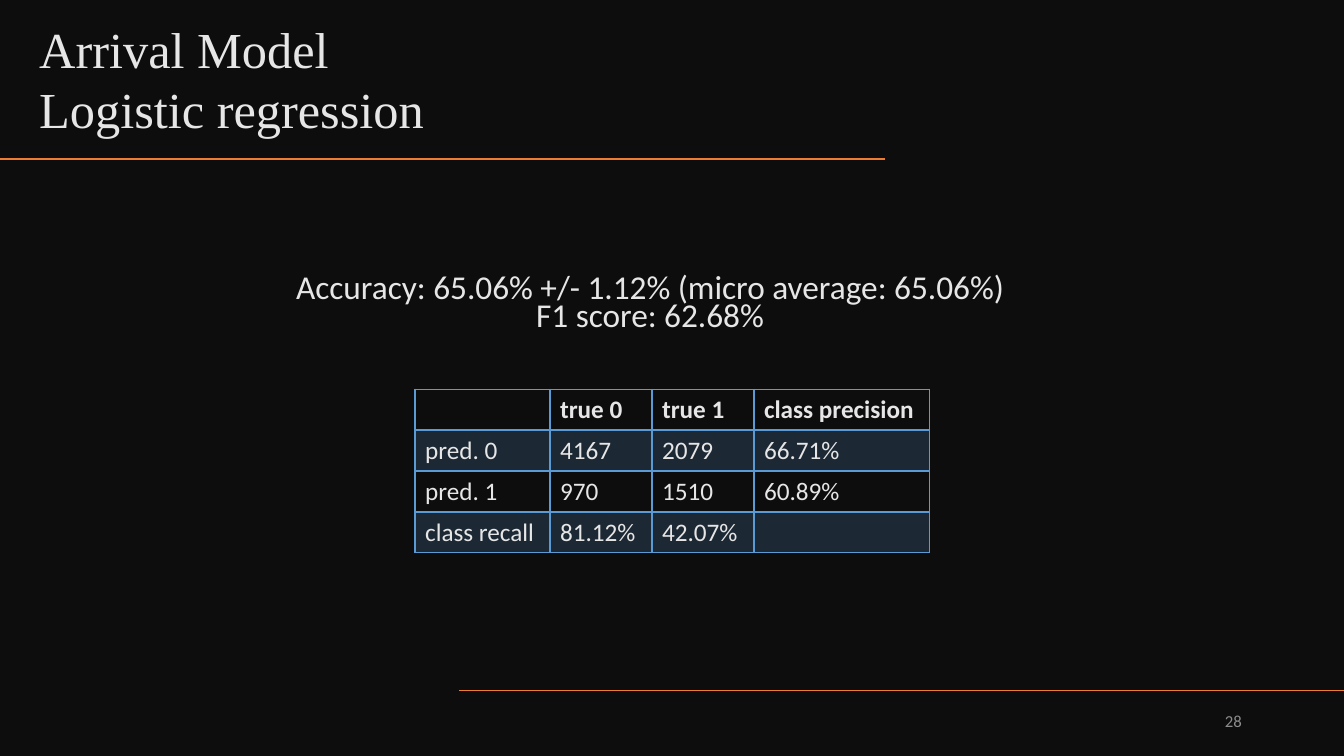
import pptx
import pptx.util
import pptx.dml.color
import pptx.enum.shapes
import pptx.enum.text
import pptx.oxml
import pptx.oxml.ns
from dataclasses import dataclass
from pptx.util import Cm

RGBColor = pptx.dml.color.RGBColor
Align = pptx.enum.text.PP_ALIGN
Anchor = pptx.enum.text.MSO_ANCHOR

BLACK = RGBColor(0x0D, 0x0D, 0x0D)
ORANGE = RGBColor(0xED, 0x7D, 0x31)
PALE = RGBColor(0xE7, 0xE6, 0xE6)
BLUE = RGBColor(0x5B, 0x9B, 0xD5)
GREY = RGBColor(0x8C, 0x8C, 0x8C)
WIDE, HIGH = 33.87, 19.05


@dataclass
class Rule:
    start: float
    end: float
    top: float


@dataclass
class Label:
    lines: list[str]
    left: float
    top: float
    width: float
    height: float
    size: float
    face: str = "Calibri"
    color: RGBColor = PALE
    align: Align = Align.LEFT
    anchor: Anchor = Anchor.TOP
    spacing: float = 1.0
    before: float = 0


RULES = [Rule(22.3, 0, 4.01), Rule(WIDE, 11.56, 17.4)]
LABELS = [
    Label(["Arrival Model", "Logistic regression"], 0.74, 0.33, 16.97, 3.33,
          36, face="Times New Roman"),
    Label(["Accuracy: 65.06% +/- 1.12% (micro average: 65.06%)\vF1 score: 62.68%"],
          5.23, 6.86, 22.3, 1.8, 23.8, align=Align.CENTER, spacing=0.7, before=10),
    Label(["28"], 23.93, 17.65, 7.62, 1.02, 12, color=GREY,
          align=Align.RIGHT, anchor=Anchor.MIDDLE),
]
ROWS = [
    ["", "true 0", "true 1", "class precision"],
    ["pred. 0", "4167", "2079", "66.71%"],
    ["pred. 1", "970", "1510", "60.89%"],
    ["class recall", "81.12%", "42.07%", ""],
]
COLS = [3.4, 2.57, 2.57, 4.42]
ROW_HIGH = 1.03


def draw_rule(slide, rule: Rule) -> None:
    line = slide.shapes.add_connector(
        pptx.enum.shapes.MSO_CONNECTOR.STRAIGHT,
        Cm(rule.start), Cm(rule.top), Cm(rule.end), Cm(rule.top))
    line.line.color.rgb = ORANGE
    line.line.width = pptx.util.Pt(1)
    pptx.oxml.ns.qn("a:effectLst")
    line._element.spPr.append(pptx.oxml.parse_xml(
        f"<a:effectLst {pptx.oxml.ns.nsdecls('a')}/>"))


def draw_label(slide, label: Label) -> None:
    box = slide.shapes.add_textbox(
        Cm(label.left), Cm(label.top), Cm(label.width), Cm(label.height))
    frame = box.text_frame
    frame.word_wrap = True
    frame.vertical_anchor = label.anchor
    frame.text = "\n".join(label.lines)
    for para in frame.paragraphs:
        para.alignment = label.align
        para.line_spacing = label.spacing
        para.space_before = pptx.util.Pt(label.before)
        para.font.name = label.face
        para.font.size = pptx.util.Pt(label.size)
        para.font.color.rgb = label.color


def add_edge(cell, side: str, width: float) -> None:
    cell._tc.get_or_add_tcPr().append(pptx.oxml.parse_xml(
        f'<a:ln{side} {pptx.oxml.ns.nsdecls("a")} w="{pptx.util.Pt(width)}">'
        f'<a:solidFill><a:srgbClr val="{BLUE}"/></a:solidFill></a:ln{side}>'))


def fill_cell(cell, text: str, row: int) -> None:
    cell.vertical_anchor = Anchor.MIDDLE
    cell.text = text
    font = cell.text_frame.paragraphs[0].font
    font.name = "Calibri"
    font.size = pptx.util.Pt(18)
    font.bold = row == 0
    font.color.rgb = PALE
    for side in "LRTB":
        heavy = (row, side) in [(0, "B"), (1, "T")]
        add_edge(cell, side, 2 if heavy else 1)
    if row % 2:
        cell.fill.solid()
        cell.fill.fore_color.rgb = BLUE
        tint = cell._tc.tcPr.find(
            "/".join(map(pptx.oxml.ns.qn, ["a:solidFill", "a:srgbClr"])))
        tint.append(pptx.oxml.parse_xml(
            f'<a:alpha {pptx.oxml.ns.nsdecls("a")} val="20000"/>'))
    else:
        cell.fill.background()


def draw_table(slide) -> None:
    table = slide.shapes.add_table(
        len(ROWS), len(COLS), Cm(10.46), Cm(9.81),
        Cm(sum(COLS)), Cm(ROW_HIGH * len(ROWS))).table
    table.first_row = False
    table.horz_banding = False
    for col, width in zip(table.columns, COLS):
        col.width = Cm(width)
    for row, texts in enumerate(ROWS):
        table.rows[row].height = Cm(ROW_HIGH)
        for col, text in enumerate(texts):
            fill_cell(table.cell(row, col), text, row)


def main() -> None:
    deck = pptx.Presentation()
    deck.slide_width, deck.slide_height = Cm(WIDE), Cm(HIGH)
    slide = deck.slides.add_slide(deck.slide_layouts[6])
    back = slide.shapes.add_shape(
        pptx.enum.shapes.MSO_SHAPE.RECTANGLE, 0, 0, Cm(WIDE), Cm(HIGH))
    back.shadow.inherit = False
    back.fill.solid()
    back.fill.fore_color.rgb = BLACK
    back.line.fill.background()
    for rule in RULES:
        draw_rule(slide, rule)
    for label in LABELS:
        draw_label(slide, label)
    draw_table(slide)
    deck.save("out.pptx")


if __name__ == "__main__":
    main()
